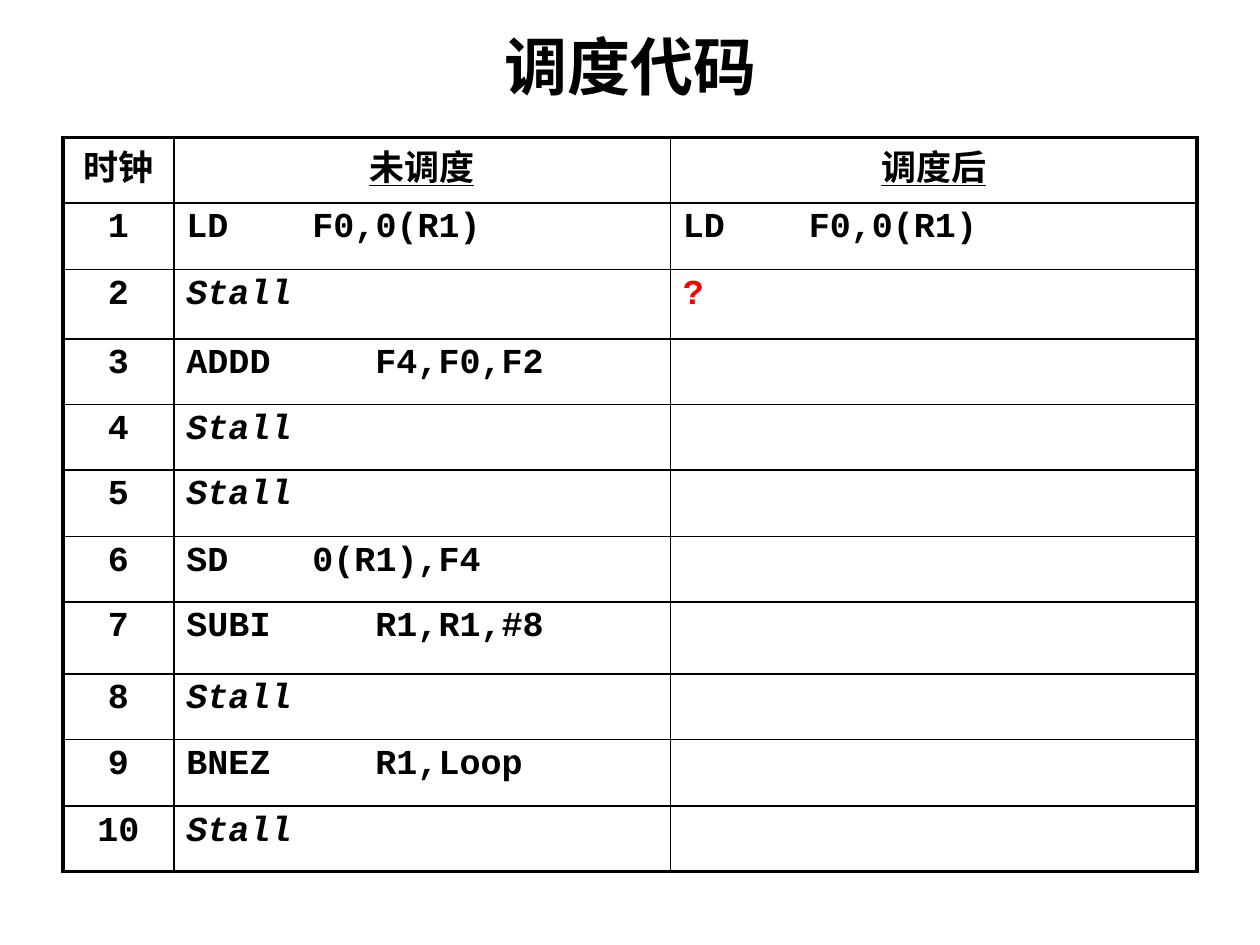
from lxml import etree
from pptx import Presentation
from pptx.dml.color import RGBColor
from pptx.enum.text import MSO_ANCHOR, PP_ALIGN
from pptx.oxml.ns import qn
from pptx.util import Inches, Pt

TITLE = "调度代码"
HEADERS = ["时钟", "未调度", "调度后"]
UNSCHEDULED = [
    "LD\t\tF0,0(R1)",
    "Stall",
    "ADDD\t\tF4,F0,F2",
    "Stall",
    "Stall",
    "SD\t\t0(R1),F4",
    "SUBI\t\tR1,R1,#8",
    "Stall",
    "BNEZ\t\tR1,Loop",
    "Stall",
]
SCHEDULED = ["LD\t\tF0,0(R1)", "?"]
COLUMN_WIDTHS = [0.88, 3.94, 4.18]
ROW_HEIGHTS = [0.52, 0.53, 0.55, 0.52, 0.52, 0.53, 0.52, 0.57, 0.52, 0.53, 0.52]
COLORS = {"ink": "000000", "question": "FF0000"}
THIN, THICK = 1, 2.25


def style_font(font, name, size, color="ink"):
    font.name = name
    font.size = Pt(size)
    font.bold = True
    font.color.rgb = RGBColor.from_string(COLORS[color])


def add_border(cell, side, width):
    properties = cell._tc.get_or_add_tcPr()
    line = etree.SubElement(properties, qn(f"a:ln{side}"), w=str(Pt(width)))
    fill = etree.SubElement(line, qn("a:solidFill"))
    etree.SubElement(fill, qn("a:srgbClr"), val=COLORS["ink"])


def fill_cell(cell, text, row, column):
    para = cell.text_frame.paragraphs[0]
    para.text = text
    para.line_spacing = 0.9
    centered = row == 0 or column == 0
    para.alignment = PP_ALIGN.CENTER if centered else PP_ALIGN.LEFT
    style_font(para.font, "Courier New", 20, "question" if text == "?" else "ink")
    para.font.underline = row == 0 and column > 0
    para.font.italic = text == "Stall"


deck = Presentation()
deck.slide_width, deck.slide_height = Inches(10), Inches(7.5)
page = deck.slides.add_slide(deck.slide_layouts[5])

title = page.shapes.title
title.left, title.top = Inches(0.5), Inches(-0.11)
title.width, title.height = Inches(9), Inches(1.25)
title.text_frame.text = TITLE
title.text_frame.vertical_anchor = MSO_ANCHOR.MIDDLE
heading = title.text_frame.paragraphs[0]
heading.alignment = PP_ALIGN.CENTER
style_font(heading.font, "Calibri", 36)

scheduled = SCHEDULED + [""] * (len(UNSCHEDULED) - len(SCHEDULED))
clocks = [str(clock) for clock in range(1, len(UNSCHEDULED) + 1)]
rows = [HEADERS, *zip(clocks, UNSCHEDULED, scheduled)]
last_row, last_column = len(rows) - 1, len(HEADERS) - 1

table = page.shapes.add_table(
    len(rows), len(HEADERS), Inches(0.5), Inches(1.09),
    Inches(sum(COLUMN_WIDTHS)), Inches(sum(ROW_HEIGHTS)),
).table
table.first_row = table.horz_banding = False
for column, width in zip(table.columns, COLUMN_WIDTHS):
    column.width = Inches(width)
for row, height in zip(table.rows, ROW_HEIGHTS):
    row.height = Inches(height)

for r, texts in enumerate(rows):
    for c, text in enumerate(texts):
        cell = table.cell(r, c)
        outer = {"L": c == 0, "R": c == last_column, "T": r == 0, "B": r == last_row}
        for side, is_outer in outer.items():
            add_border(cell, side, THICK if is_outer else THIN)
        cell.fill.background()
        if text:
            fill_cell(cell, text, r, c)

deck.save("out.pptx")
